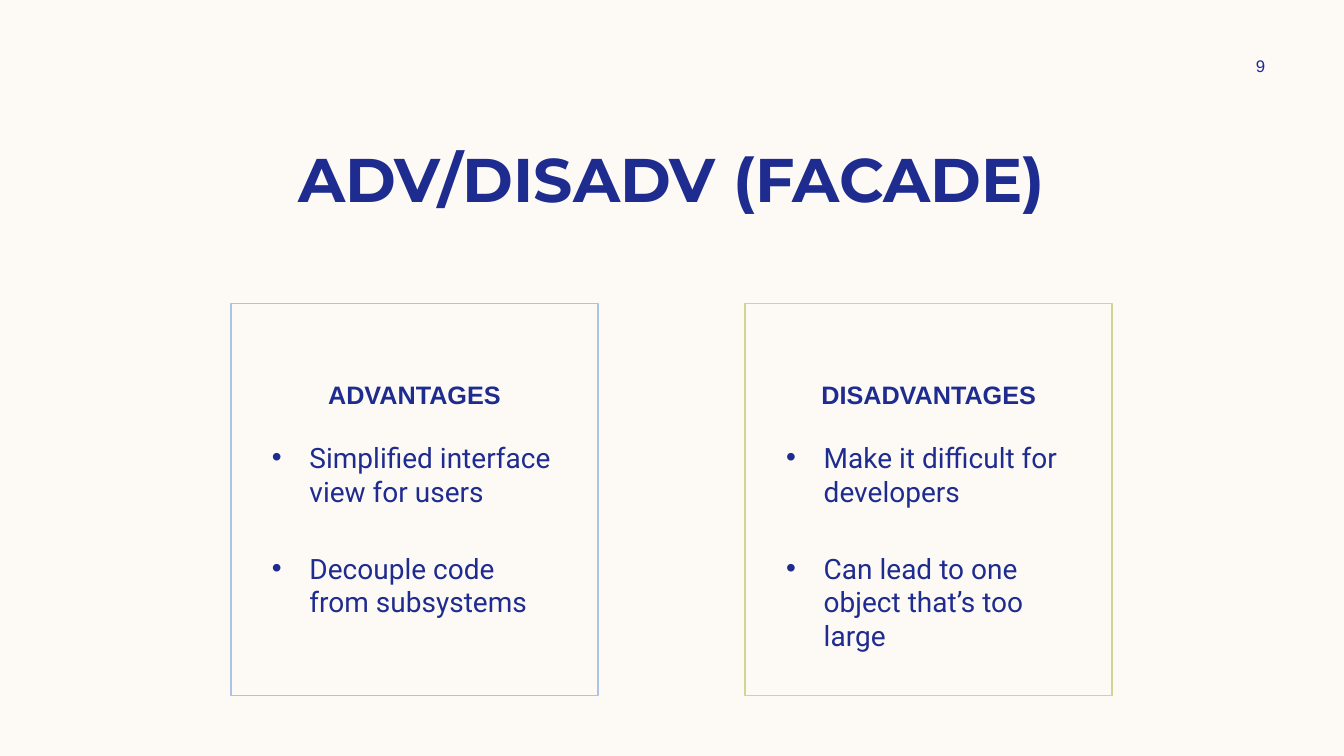
from lxml.etree import SubElement
from pptx import Presentation
from pptx.dml.color import RGBColor
from pptx.enum.shapes import MSO_SHAPE
from pptx.enum.text import MSO_ANCHOR, PP_ALIGN
from pptx.oxml.ns import qn
from pptx.util import Cm, Pt

NAVY = "1F2C8F"
CREAM = "FDFAF6"
CARDS = [
    ("ADVANTAGES", "AAC3E8",
     ["Simplified interface view for users",
      "Decouple code from subsystems"]),
    ("DISADVANTAGES", "D2D592",
     ["Make it difficult for developers",
      "Can lead to one object that’s too large"]),
]


def paint(hue):
    """Turn a hex string into a colour."""
    return RGBColor.from_string(hue)


def bullet(para):
    """Give a paragraph a hanging bullet."""
    props = para._p.get_or_add_pPr()
    props.set("marL", str(Cm(0.95)))
    props.set("indent", str(-Cm(0.95)))
    SubElement(props, qn("a:buFont"), typeface="Arial")
    SubElement(props, qn("a:buChar"), char="•")


def write(shape, lines, font="Arial", size=18, bold=False,
          align=PP_ALIGN.CENTER, anchor=MSO_ANCHOR.TOP,
          top=0.13, gap=0, dots=False):
    """Fill a shape with formatted paragraphs."""
    frame = shape.text_frame
    frame.word_wrap = True
    frame.vertical_anchor = anchor
    frame.margin_left = frame.margin_right = Cm(0.25)
    frame.margin_top, frame.margin_bottom = Cm(top), Cm(0.13)
    for i, line in enumerate(lines):
        para = frame.add_paragraph() if i else frame.paragraphs[0]
        para.text = line
        para.alignment = align
        if i:
            para.space_before = Pt(gap)
        if dots:
            bullet(para)
        para.font.name, para.font.size = font, Pt(size)
        para.font.bold = bold
        para.font.color.rgb = paint(NAVY)


def label(slide, box, lines, **style):
    """Add a text box."""
    write(slide.shapes.add_textbox(*map(Cm, box)), lines, **style)


def card(slide, left, head, edge, points):
    """Add an outlined card with a heading and bullet points."""
    top = 7.65
    rect = slide.shapes.add_shape(
        MSO_SHAPE.RECTANGLE, Cm(left), Cm(top), Cm(9.25), Cm(9.88))
    rect.shadow.inherit = False
    rect.fill.background()
    rect.line.color.rgb = paint(edge)
    rect.line.width = Pt(1)
    write(rect, [head], bold=True, top=1.9)
    label(slide, (left + 0.78, top + 3.32, 7.7, 6.12), points,
          font="Roboto", size=20, align=PP_ALIGN.LEFT, gap=31, dots=True)


def main():
    """Build the slide and save it."""
    deck = Presentation()
    deck.slide_width, deck.slide_height = Cm(33.87), Cm(19.05)
    slide = deck.slides.add_slide(deck.slide_layouts[6])
    slide.background.fill.solid()
    slide.background.fill.fore_color.rgb = paint(CREAM)
    label(slide, (2.12, 3.43, 29.63, 2.13), ["ADV/DISADV (FACADE)"],
          font="Montserrat", size=44, bold=True)
    label(slide, (30.4, 1.27, 2.74, 0.76), ["9"],
          size=12, anchor=MSO_ANCHOR.MIDDLE)
    for i, item in enumerate(CARDS):
        card(slide, 5.82 + i * 12.96, *item)
    deck.save("out.pptx")


if __name__ == "__main__":
    main()
